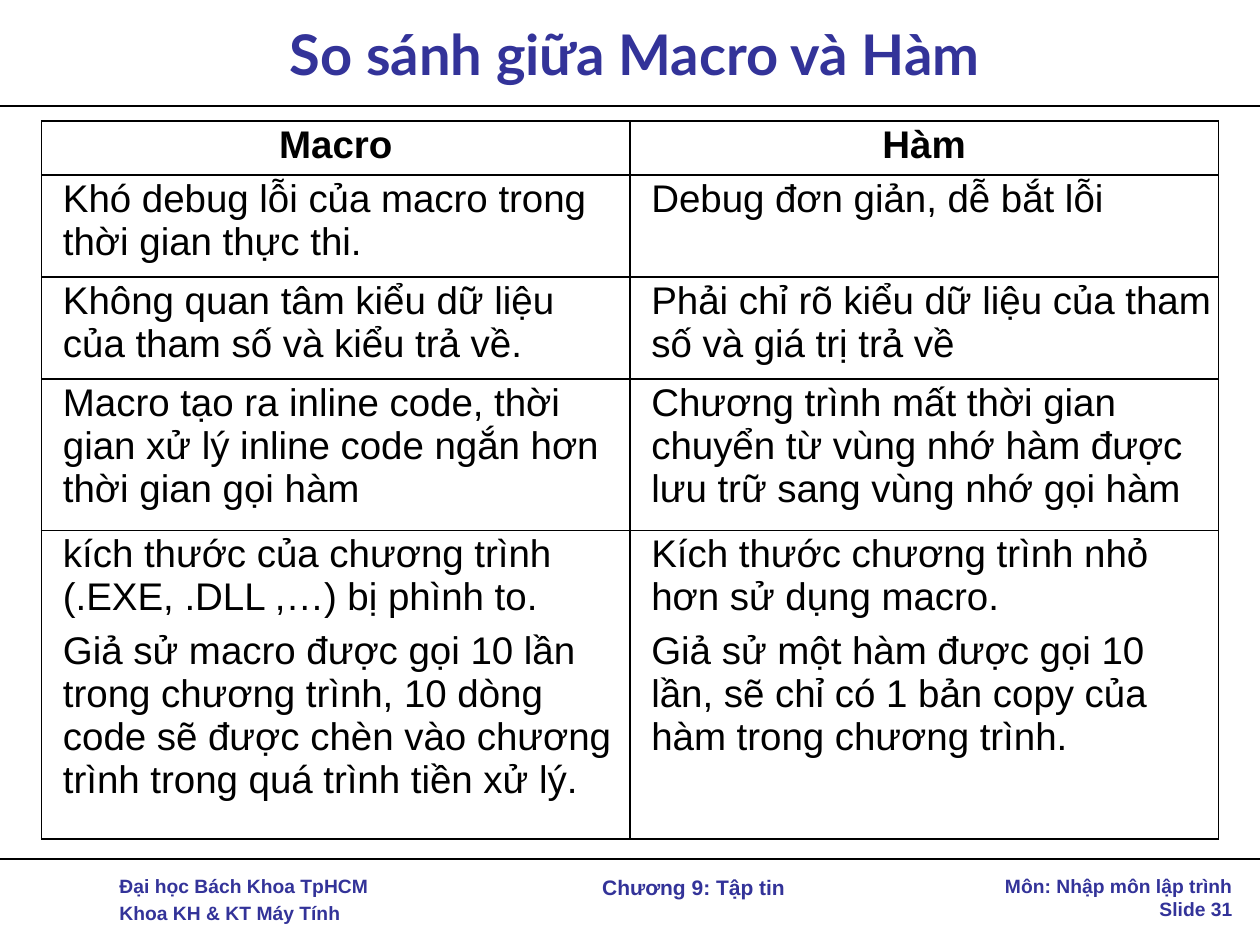
from lxml.etree import SubElement
from pptx import Presentation
from pptx.dml.color import RGBColor
from pptx.enum.shapes import MSO_CONNECTOR
from pptx.enum.text import MSO_ANCHOR, PP_ALIGN
from pptx.oxml import parse_xml
from pptx.oxml.ns import nsdecls, qn
from pptx.util import Inches, Pt

TITLE = "So sánh giữa Macro và Hàm"
COMPARISON = [
    (["Macro"], ["Hàm"]),
    (["Khó debug lỗi của macro trong thời gian thực thi."],
     ["Debug đơn giản, dễ bắt lỗi"]),
    (["Không quan tâm kiểu dữ liệu của tham số và kiểu trả về."],
     ["Phải chỉ rõ kiểu dữ liệu của tham số và giá trị trả về"]),
    (["Macro tạo ra inline code, thời gian xử lý inline code ngắn hơn thời gian gọi hàm"],
     ["Chương trình mất thời gian chuyển từ vùng nhớ hàm được lưu trữ sang vùng nhớ gọi hàm"]),
    (["kích thước của chương trình (.EXE, .DLL ,…) bị phình to.",
      "Giả sử macro được gọi 10 lần trong chương trình, 10 dòng code sẽ được chèn "
      "vào chương trình trong quá trình tiền xử lý."],
     ["Kích thước chương trình nhỏ hơn sử dụng macro.",
      "Giả sử một hàm được gọi 10 lần, sẽ chỉ có 1 bản copy của hàm trong chương trình."]),
]
SCHOOL = ["Đại học Bách Khoa TpHCM", "Khoa KH & KT Máy Tính"]
CHAPTER = ["Chương 9: Tập tin"]
COURSE = ["Môn: Nhập môn lập trình", "Slide 31"]

THEME = {
    "accent": RGBColor(0x33, 0x33, 0x99),
    "ink": RGBColor(0, 0, 0),
    "title_font": "Lato",
    "body_font": "Arial",
    "title": 32,
    "table": 22,
    "chapter": 12,
    "footer": 11,
}

SLIDE_W, SLIDE_H = 10, 7.5
RULES_Y = [0.84, 6.82]
TABLE_LEFT, TABLE_TOP, COLUMN_W = 0.33, 0.96, 4.67
ROW_HEIGHTS = [0.43, 0.81, 0.81, 1.2, 2.45]
FOOTER_TOP = 6.89


def write(frame, paragraphs, size, color, font=THEME["body_font"], bold=True,
          align=PP_ALIGN.LEFT):
    frame.text = "\n".join(paragraphs)
    frame.word_wrap = True
    for paragraph in frame.paragraphs:
        paragraph.alignment = align
        for run in paragraph.runs:
            run.font.name, run.font.size, run.font.bold = font, Pt(size), bold
            run.font.color.rgb = color


def add_label(slide, box, paragraphs, size, **style):
    frame = slide.shapes.add_textbox(*map(Inches, box)).text_frame
    write(frame, paragraphs, size, THEME["accent"], **style)
    return frame


def add_rule(slide, y):
    rule = slide.shapes.add_connector(
        MSO_CONNECTOR.STRAIGHT, 0, Inches(y), Inches(SLIDE_W), Inches(y))
    rule.line.color.rgb = THEME["ink"]
    rule.line.width = Pt(1)
    SubElement(rule._element.spPr, qn("a:effectLst"))


def add_borders(cell):
    """Line all four sides; the schema wants lines ahead of the fill."""
    properties = cell._tc.get_or_add_tcPr()
    for position, side in enumerate(("lnL", "lnR", "lnT", "lnB")):
        properties.insert(position, parse_xml(
            f'<a:{side} {nsdecls("a")} w="{Pt(1)}"><a:solidFill>'
            f'<a:srgbClr val="{THEME["ink"]}"/></a:solidFill></a:{side}>'))


def fill_cell(cell, paragraphs, is_header):
    cell.margin_left = cell.margin_right = Inches(0.04)
    cell.margin_top = cell.margin_bottom = Inches(0.02)
    cell.fill.background()
    add_borders(cell)
    write(cell.text_frame, paragraphs, THEME["table"], THEME["ink"], bold=is_header,
          align=PP_ALIGN.CENTER if is_header else PP_ALIGN.LEFT)
    for paragraph in cell.text_frame.paragraphs:
        paragraph.space_before = paragraph.space_after = Pt(3)
        if not is_header:
            properties = paragraph._p.get_or_add_pPr()
            properties.set("marL", str(Inches(0.13)))
            properties.set("indent", "0")


def add_comparison(slide):
    columns = len(COMPARISON[0])
    table = slide.shapes.add_table(
        len(COMPARISON), columns, Inches(TABLE_LEFT), Inches(TABLE_TOP),
        Inches(COLUMN_W * columns), Inches(sum(ROW_HEIGHTS))).table
    table.horz_banding = False
    for column in table.columns:
        column.width = Inches(COLUMN_W)
    for index, (height, contents) in enumerate(zip(ROW_HEIGHTS, COMPARISON)):
        table.rows[index].height = Inches(height)
        for cell, paragraphs in zip(table.rows[index].cells, contents):
            fill_cell(cell, paragraphs, is_header=index == 0)


def main():
    deck = Presentation()
    deck.slide_width, deck.slide_height = Inches(SLIDE_W), Inches(SLIDE_H)
    slide = deck.slides.add_slide(deck.slide_layouts[6])

    school = add_label(slide, (0.85, FOOTER_TOP, 2.33, 0.51), SCHOOL, THEME["footer"])
    school.paragraphs[1].space_before = Pt(0.2 * THEME["footer"])
    add_label(slide, (7.83, FOOTER_TOP, 2.05, 0.47), COURSE, THEME["footer"],
              align=PP_ALIGN.RIGHT)
    add_label(slide, (3.18, FOOTER_TOP, 4.65, 0.3), CHAPTER, THEME["chapter"],
              align=PP_ALIGN.CENTER)
    for y in RULES_Y:
        add_rule(slide, y)

    title = add_label(slide, (0.33, 0.04, 9.42, 0.76), [TITLE], THEME["title"],
                      font=THEME["title_font"], align=PP_ALIGN.CENTER)
    title.vertical_anchor = MSO_ANCHOR.MIDDLE
    add_comparison(slide)
    deck.save("out.pptx")


if __name__ == "__main__":
    main()
